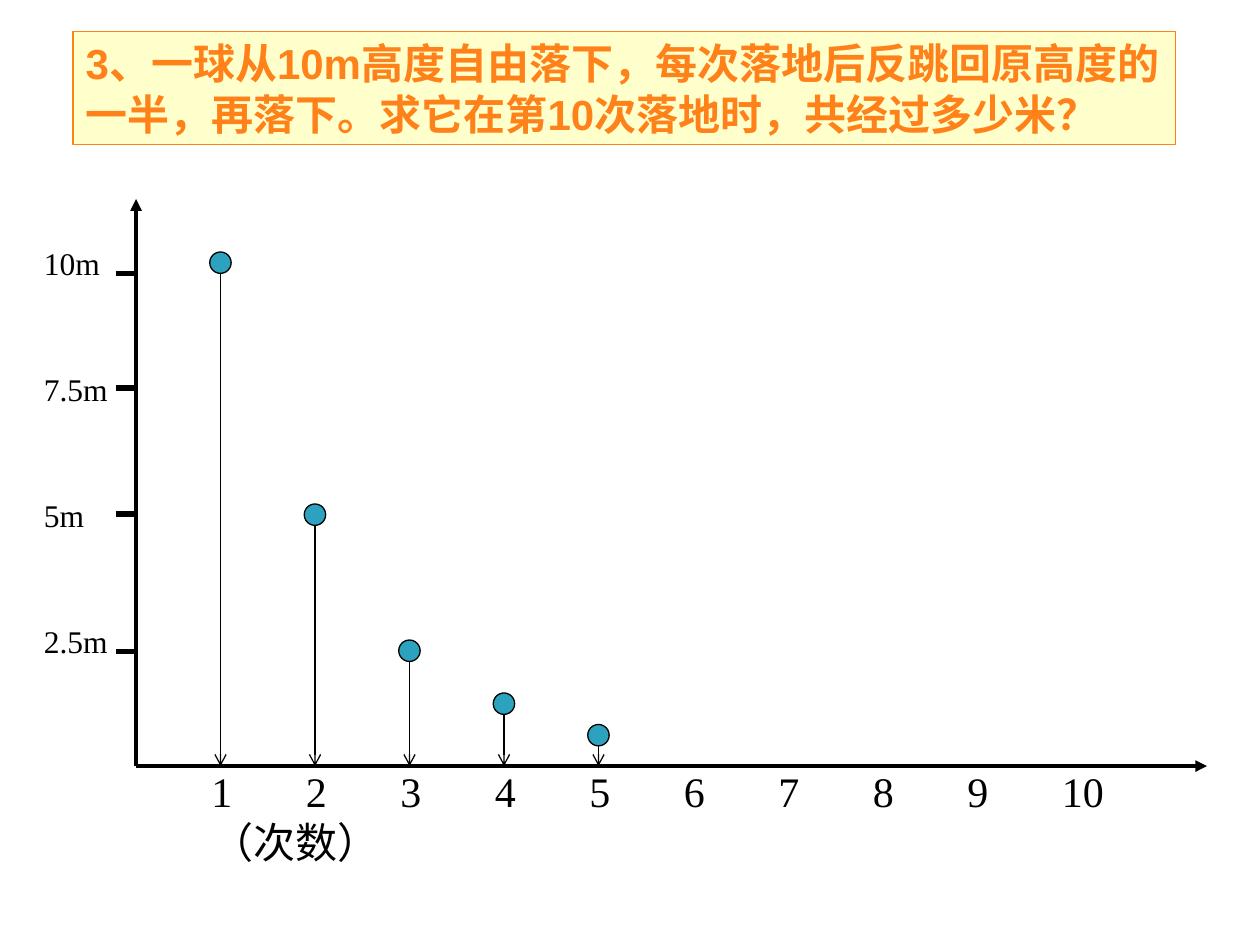
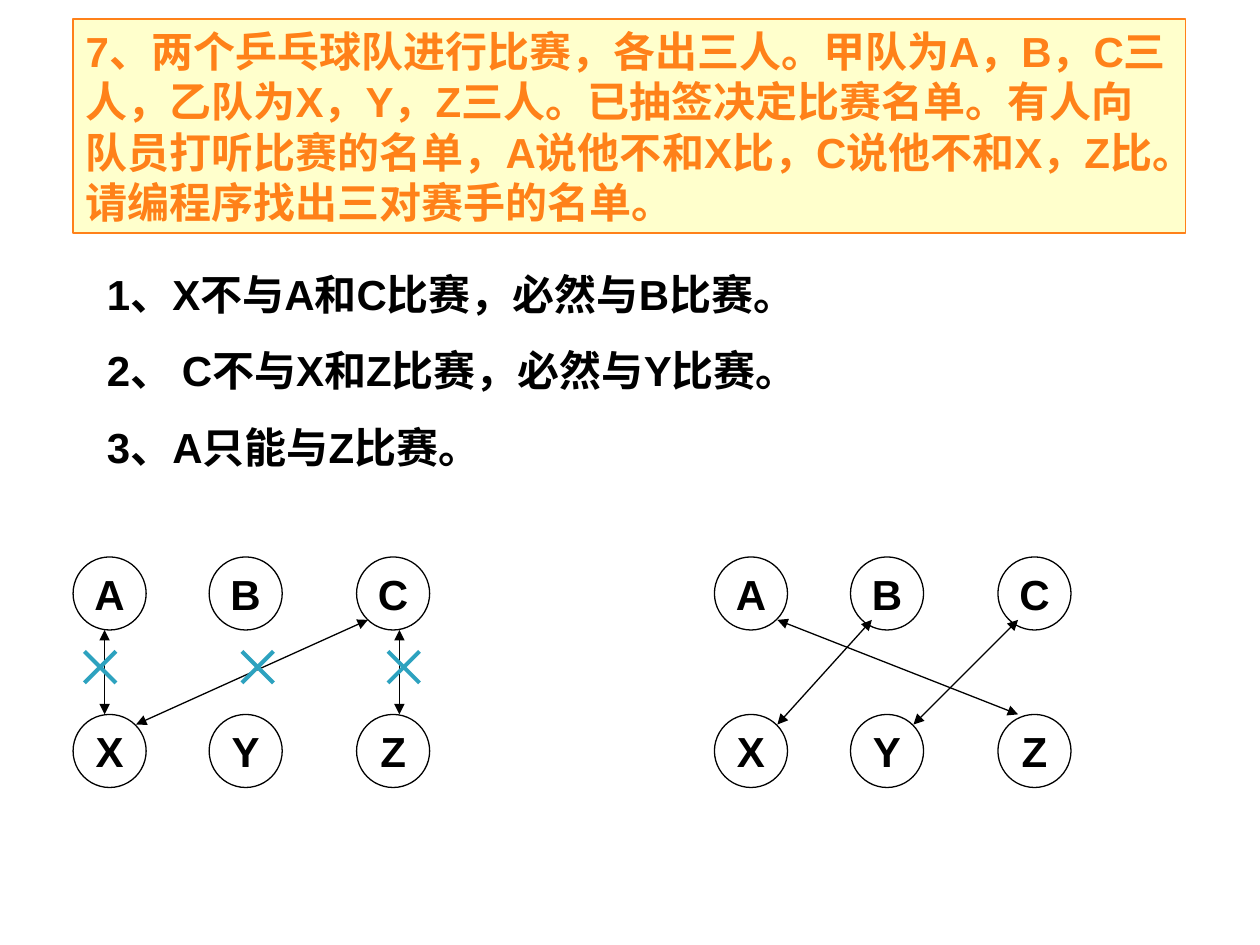
from lxml.etree import SubElement
from pptx import Presentation
from pptx.dml.color import RGBColor
from pptx.enum.shapes import MSO_CONNECTOR, MSO_SHAPE
from pptx.enum.text import MSO_ANCHOR, MSO_AUTO_SIZE, PP_ALIGN
from pptx.oxml.ns import qn
from pptx.util import Inches, Pt

ORANGE, CREAM, TEAL, BLACK, WHITE = "FF8119", "FFFFCC", "2DA2BF", "000000", "FFFFFF"

BALL_QUESTION = "3、一球从10m高度自由落下，每次落地后反跳回原高度的一半，再落下。求它在第10次落地时，共经过多少米？"
HEIGHT_LABELS = ["10m", "7.5m", "5m", "2.5m"]
TICK_TOPS = [2.17, 3.08, 4.08, 5.17]
BALL_TOPS = [2, 4, 5.08, 5.5, 5.75]
BOUNCES = [str(number) for number in range(1, 11)]
BOUNCE_UNIT = "（次数）"
AXIS_LEFT, AXIS_BOTTOM = 1.08, 6.08
BOUNCE_LEFT, BOUNCE_GAP, BALL_SIZE = 1.75, 0.75, 0.17

MATCH_QUESTION = (
    "7、两个乒乓球队进行比赛，各出三人。甲队为A，B，C三人，乙队为X，Y，Z三人。"
    "已抽签决定比赛名单。有人向队员打听比赛的名单，A说他不和X比，C说他不和X，Z比。"
    "请编程序找出三对赛手的名单。"
)
DEDUCTIONS = [
    "1、X不与A和C比赛，必然与B比赛。",
    "2、 C不与X和Z比赛，必然与Y比赛。",
    "3、A只能与Z比赛。",
]
TEAMS = [(4.42, "ABC"), (5.67, "XYZ")]
PLAYER_OFFSETS = [0, 1.08, 2.25]
PLAYER_SIZE = 0.58
DIAGRAM_LEFTS = [0.58, 5.67]
EXCLUDED_PAIRS = [
    ((0.83, 5), (0.83, 5.67)),
    ((1.08, 5.75), (2.92, 4.92)),
    ((3.17, 5), (3.17, 5.67)),
]
FINAL_PAIRS = [
    ((6.17, 4.92), (8.08, 5.67)),
    ((6.17, 5.75), (6.92, 4.92)),
    ((7.25, 5.75), (8.08, 4.92)),
]
CROSS_LEFTS = [0.67, 1.92, 3.08]
CROSS_TOP, CROSS_SIZE = 5.17, 0.25


def color(value):
    return RGBColor.from_string(value)


def style_font(paragraph, size, name, font_color=BLACK, bold=False):
    font = paragraph.font
    font.size, font.name, font.bold = Pt(size), name, bold
    font.color.rgb = color(font_color)


def style_outline(shape, fill, line):
    shape.fill.solid()
    shape.fill.fore_color.rgb = color(fill)
    shape.line.color.rgb = color(line)
    shape.line.width = Pt(0.75)


def add_question_slide(presentation, question, left, top, width, height):
    slide = presentation.slides.add_slide(presentation.slide_layouts[5])
    title = slide.shapes.title
    title.left, title.top = Inches(left), Inches(top)
    title.width, title.height = Inches(width), Inches(height)
    style_outline(title, CREAM, ORANGE)
    frame = title.text_frame
    frame.text = question
    frame.word_wrap, frame.auto_size = True, MSO_AUTO_SIZE.NONE
    frame.vertical_anchor = MSO_ANCHOR.TOP
    paragraph = frame.paragraphs[0]
    paragraph.alignment = PP_ALIGN.LEFT
    style_font(paragraph, 24, "Arial", ORANGE, True)
    return slide


def add_text(slide, left, top, width, height, lines):
    frame = slide.shapes.add_textbox(
        Inches(left), Inches(top), Inches(width), Inches(height)
    ).text_frame
    frame.word_wrap = True
    frame.text = "\n".join(lines)
    return frame


def add_line(slide, start, end, width=0.75, line_color=BLACK, head=None, tail=None):
    points = [Inches(value) for value in (*start, *end)]
    connector = slide.shapes.add_connector(MSO_CONNECTOR.STRAIGHT, *points)
    connector.line.color.rgb = color(line_color)
    connector.line.width = Pt(width)
    properties = connector._element.spPr
    outline = properties.find(qn("a:ln"))
    for tag, kind in (("a:headEnd", head), ("a:tailEnd", tail)):
        if kind:
            SubElement(outline, qn(tag), type=kind)
    SubElement(properties, qn("a:effectLst"))


def add_circle(slide, left, top, size, fill):
    circle = slide.shapes.add_shape(
        MSO_SHAPE.OVAL, Inches(left), Inches(top), Inches(size), Inches(size)
    )
    circle.shadow.inherit = False
    style_outline(circle, fill, BLACK)
    return circle


def add_player(slide, name, left, top):
    frame = add_circle(slide, left, top, PLAYER_SIZE, WHITE).text_frame
    frame.text = name
    frame.word_wrap = False
    frame.vertical_anchor = MSO_ANCHOR.MIDDLE
    paragraph = frame.paragraphs[0]
    paragraph.alignment = PP_ALIGN.CENTER
    style_font(paragraph, 24, "Arial", BLACK, True)


def add_cross(slide, left):
    right, bottom = left + CROSS_SIZE, CROSS_TOP + CROSS_SIZE
    add_line(slide, (left, CROSS_TOP), (right, bottom), 2.25, TEAL)
    add_line(slide, (left, bottom), (right, CROSS_TOP), 2.25, TEAL)


def add_axes(slide):
    origin = (AXIS_LEFT, AXIS_BOTTOM)
    add_line(slide, origin, (9.58, AXIS_BOTTOM), 2.25, tail="triangle")
    add_line(slide, (AXIS_LEFT, 1.58), origin, 2.25, head="triangle")
    for tick_top in TICK_TOPS:
        add_line(slide, (0.92, tick_top), (AXIS_LEFT, tick_top), 3)
    for index, label in enumerate(HEIGHT_LABELS):
        frame = add_text(slide, 0.25, 1.89 + index, 0.75, 0.4, [label])
        style_font(frame.paragraphs[0], 18, "Times New Roman")
    frame = add_text(slide, 1.58, 6.03, 8.08, 0.9, ["\t".join(BOUNCES), BOUNCE_UNIT])
    tabs = SubElement(frame.paragraphs[0]._p.get_or_add_pPr(), qn("a:tabLst"))
    for index in range(1, len(BOUNCES)):
        SubElement(tabs, qn("a:tab"), pos=str(Inches(BOUNCE_GAP * index)), algn="l")
    for paragraph in frame.paragraphs:
        style_font(paragraph, 24, "Times New Roman")


def build_ball_slide(presentation):
    slide = add_question_slide(presentation, BALL_QUESTION, 0.58, 0.25, 8.75, 0.9)
    add_axes(slide)
    for index, top in enumerate(BALL_TOPS):
        center = BOUNCE_LEFT + index * BOUNCE_GAP
        add_circle(slide, center - BALL_SIZE / 2, top, BALL_SIZE, TEAL)
        add_line(slide, (center, top + BALL_SIZE), (center, AXIS_BOTTOM), tail="arrow")


def build_match_slide(presentation):
    slide = add_question_slide(presentation, MATCH_QUESTION, 0.58, 0.15, 8.83, 1.7)
    frame = add_text(slide, 0.75, 2.08, 8.25, 1.72, DEDUCTIONS)
    for index, paragraph in enumerate(frame.paragraphs):
        if index:
            paragraph.space_before = Pt(15)
        style_font(paragraph, 24, "Arial", BLACK, True)
    for diagram_left in DIAGRAM_LEFTS:
        for top, names in TEAMS:
            for offset, name in zip(PLAYER_OFFSETS, names):
                add_player(slide, name, diagram_left + offset, top)
    for start, end in EXCLUDED_PAIRS + FINAL_PAIRS:
        add_line(slide, start, end, head="triangle", tail="triangle")
    for left in CROSS_LEFTS:
        add_cross(slide, left)


def main():
    """Build the bouncing ball and match list slides."""
    presentation = Presentation()
    presentation.slide_width, presentation.slide_height = Inches(10), Inches(7.5)
    build_ball_slide(presentation)
    build_match_slide(presentation)
    presentation.save("out.pptx")


if __name__ == "__main__":
    main()
